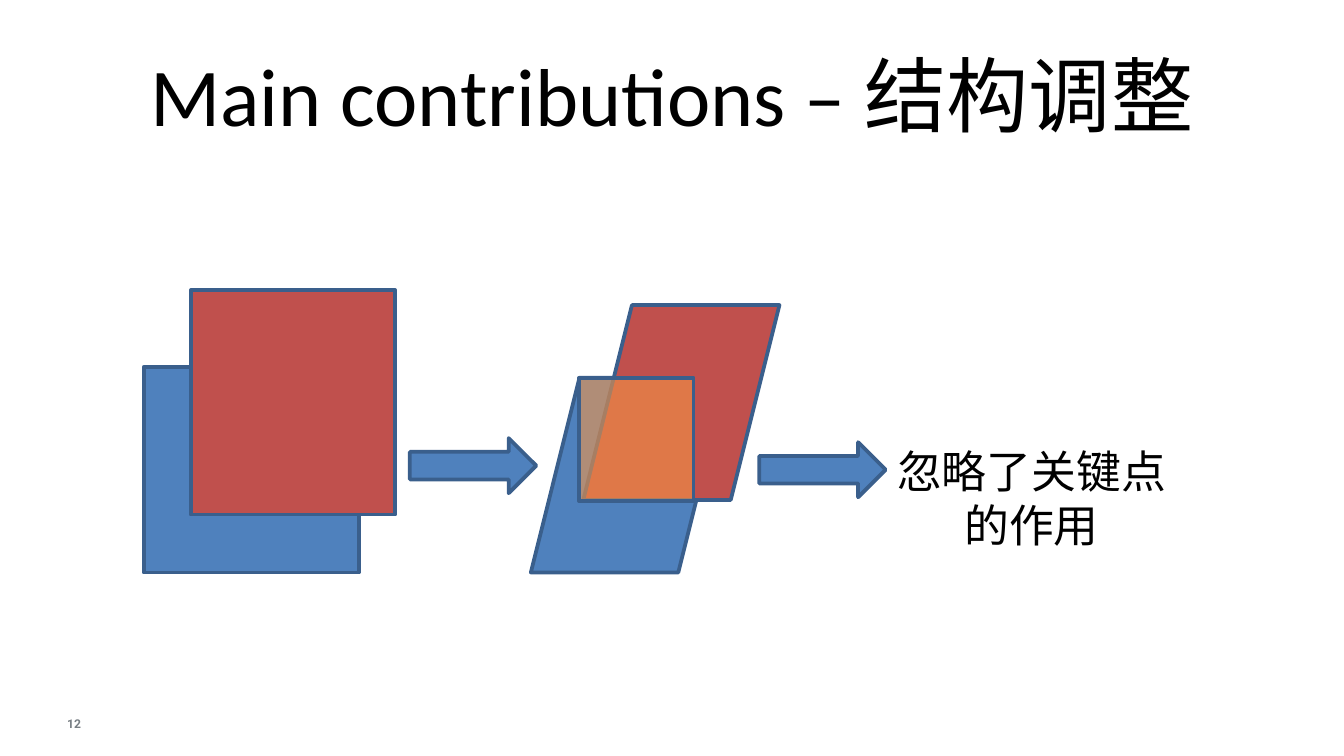
from lxml import etree
from pptx import Presentation, util as u
from pptx.dml.color import RGBColor
from pptx.enum import shapes, text
from pptx.oxml.ns import qn

PX = u.Inches(1) // 100  # 100 px to the inch

BLUE = RGBColor(0x4F, 0x81, 0xBD)
RED = RGBColor(0xC0, 0x50, 0x4D)
ORANGE = RGBColor(0xF7, 0x96, 0x46)
OUTLINE = RGBColor(0x3A, 0x5F, 0x8C)
BLACK = RGBColor(0, 0, 0)
GREY = RGBColor(0x78, 0x7F, 0x84)

RECTANGLE = shapes.MSO_SHAPE.RECTANGLE
SLANTED = shapes.MSO_SHAPE.PARALLELOGRAM
ARROW = shapes.MSO_SHAPE.RIGHT_ARROW
CENTER = text.PP_ALIGN.CENTER
LEFT = text.PP_ALIGN.LEFT


def scaled(*lengths):
    return [length * PX for length in lengths]


def write(box, lines, align, font, frame_format):
    frame = box.text_frame
    for name, value in frame_format.items():
        setattr(frame, name, value)
    frame.text = "\n".join(lines)
    for para in frame.paragraphs:
        para.alignment = align
        for span in para.runs:
            span.font.color.rgb = font["color"]
            for name in ("name", "size", "bold"):
                setattr(span.font, name, font[name])


deck = Presentation()
deck.slide_width = 1000 * PX
deck.slide_height = deck.slide_width * 9 // 16
page = deck.slides.add_slide(deck.slide_layouts[5])

# Slide number
number = page.shapes.add_textbox(*scaled(50, 532, 29, 13))
write(number, ["12"], LEFT,
      {"name": "Roboto", "size": u.Pt(6.5), "bold": True, "color": GREY},
      {"margin_left": 0, "margin_right": 0, "margin_top": 0, "margin_bottom": 0,
       "vertical_anchor": text.MSO_ANCHOR.MIDDLE, "word_wrap": True})

# Title
title = page.shapes.title
title.left, title.top, title.width, title.height = scaled(50, 23, 900, 94)
write(title, ["Main contributions – 结构调整"], CENTER,
      {"name": "Calibri", "size": u.Pt(44), "bold": False, "color": BLACK},
      {"vertical_anchor": text.MSO_ANCHOR.MIDDLE, "word_wrap": True,
       "auto_size": text.MSO_AUTO_SIZE.NONE})

# Overlapping boxes, their slanted versions, the shared area and the arrows
figures = [
    (RECTANGLE, (107, 273, 160, 153), BLUE, 100),
    (RECTANGLE, (142, 216, 152, 167), RED, 100),
    (SLANTED, (395, 281, 146, 145), BLUE, 100),
    (SLANTED, (434, 227, 146, 145), RED, 100),
    (RECTANGLE, (431, 281, 85, 92), ORANGE, 58),
    (ARROW, (305, 326, 94, 41), BLUE, 100),
    (ARROW, (565, 329, 94, 41), BLUE, 100),
]
for kind, place, color, opacity in figures:
    figure = page.shapes.add_shape(kind, *scaled(*place))
    figure.shadow.inherit = False
    figure.fill.solid()
    figure.fill.fore_color.rgb = color
    figure.line.color.rgb = OUTLINE
    figure.line.width = u.Pt(2)
    if opacity < 100:
        fill_color = figure.fill._xPr.find(qn("a:solidFill"))[0]
        etree.SubElement(fill_color, qn("a:alpha"), val=str(opacity * 1000))

# Conclusion
conclusion = page.shapes.add_textbox(*scaled(659, 326, 217, 88))
write(conclusion, ["忽略了关键点", "的作用"], CENTER,
      {"name": "Calibri", "size": u.Pt(24), "bold": False, "color": BLACK},
      {"margin_left": 7 * PX, "margin_right": 7 * PX,
       "margin_top": 4 * PX, "margin_bottom": 4 * PX, "word_wrap": False,
       "auto_size": text.MSO_AUTO_SIZE.SHAPE_TO_FIT_TEXT})

deck.save("out.pptx")
